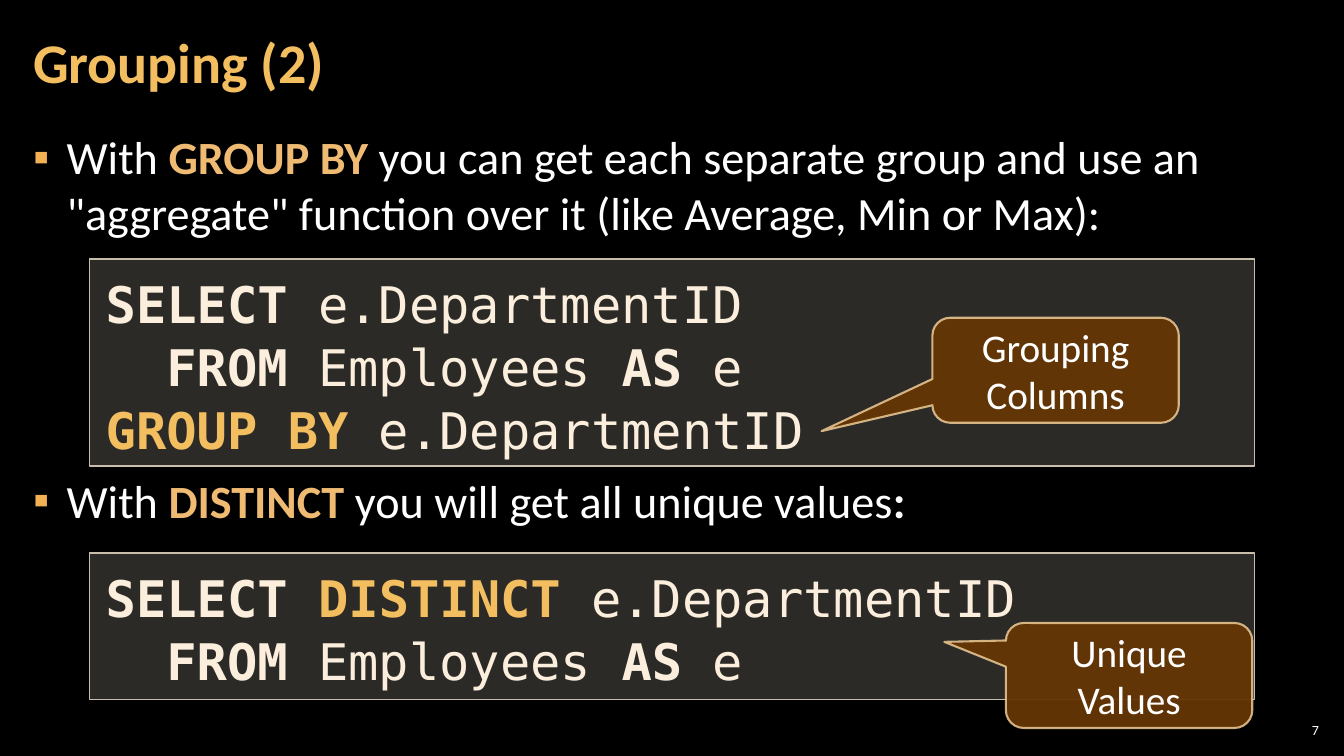
from dataclasses import dataclass

from lxml import etree
from pptx import Presentation
from pptx import util as u
from pptx.dml import color
from pptx.enum import shapes, text
from pptx.oxml import ns


@dataclass(frozen=True)
class Theme:
    background: str = "000000"
    white: str = "FFFFFF"
    gold: str = "F3BE60"
    keyword: str = "EFBB72"
    bullet: str = "F2B254"
    code: str = "FBEEDC"
    code_fill: str = "D9D5C7"
    code_line: str = "C7BFAC"
    callout_fill: str = "663606"
    callout_line: str = "F8D49E"
    sans: str = "Calibri"
    mono: str = "DejaVu Sans Mono"
    title_size: int = 40
    body_size: int = 33
    code_size: int = 36
    callout_size: int = 28
    number_size: int = 10


class SlideBuilder:
    """Draw styled elements on one slide, with lengths in points."""

    def __init__(self, slide, theme):
        self.slide = slide
        self.theme = theme
        fill = slide.background.fill
        fill.solid()
        fill.fore_color.rgb = color.RGBColor.from_string(theme.background)

    def place(self, shape, box):
        shape.left, shape.top, shape.width, shape.height = map(u.Pt, box)

    def frame(self, shape, margins, anchor=text.MSO_ANCHOR.TOP):
        frame = shape.text_frame
        frame.word_wrap = True
        frame.auto_size = text.MSO_AUTO_SIZE.NONE
        frame.vertical_anchor = anchor
        frame.margin_left = frame.margin_right = u.Pt(margins[0])
        frame.margin_top = frame.margin_bottom = u.Pt(margins[1])
        return frame

    def add_lines(self, frame, lines, size, font, align=text.PP_ALIGN.LEFT):
        for index, runs in enumerate(lines):
            paragraph = frame.add_paragraph() if index else frame.paragraphs[0]
            paragraph.alignment = align
            for words, tint, bold in runs:
                run = paragraph.add_run()
                run.text = words
                run.font.name = font
                run.font.size = u.Pt(size)
                run.font.bold = bold
                run.font.color.rgb = color.RGBColor.from_string(tint)
        return frame.paragraphs

    def opacity(self, paint, percent):
        for tint in paint.iter(ns.qn("a:srgbClr")):
            etree.SubElement(tint, ns.qn("a:alpha"), val=str(percent * 1000))

    def panel(self, kind, box, fill, line, width, fill_opacity, line_opacity):
        shape = self.slide.shapes.add_shape(kind, *map(u.Pt, box))
        shape.shadow.inherit = False
        shape.fill.solid()
        shape.fill.fore_color.rgb = color.RGBColor.from_string(fill)
        shape.line.color.rgb = color.RGBColor.from_string(line)
        shape.line.width = u.Pt(width)
        properties = shape.element.spPr
        self.opacity(properties.find(ns.qn("a:solidFill")), fill_opacity)
        self.opacity(properties.find(ns.qn("a:ln")), line_opacity)
        return shape

    def title(self, words, box):
        shape = self.slide.shapes.title
        self.place(shape, box)
        frame = self.frame(shape, (8.6, 2.9), text.MSO_ANCHOR.MIDDLE)
        runs = [(words, self.theme.gold, True)]
        paragraphs = self.add_lines(frame, [runs], self.theme.title_size, self.theme.sans)
        paragraphs[0].line_spacing = 0.9

    def bullets(self, items, box, gap):
        shape = self.slide.placeholders[1]
        self.place(shape, box)
        frame = self.frame(shape, (8.6, 2.9))
        paragraphs = self.add_lines(frame, items, self.theme.body_size, self.theme.sans)
        for index, paragraph in enumerate(paragraphs):
            paragraph.space_before = u.Pt(gap if index else 6)
            paragraph.space_after = u.Pt(6)
            properties = paragraph._p.get_or_add_pPr()
            properties.set("marL", str(u.Pt(24)))
            properties.set("indent", str(u.Pt(-24)))
            tint = etree.SubElement(properties, ns.qn("a:buClr"))
            etree.SubElement(tint, ns.qn("a:srgbClr"), val=self.theme.bullet)
            etree.SubElement(properties, ns.qn("a:buChar"), char="▪")

    def code(self, lines, box):
        theme = self.theme
        shape = self.panel(shapes.MSO_SHAPE.RECTANGLE, box,
                           theme.code_fill, theme.code_line, 1, 20, 100)
        frame = self.frame(shape, (11.5, 8.6))
        for paragraph in self.add_lines(frame, lines, theme.code_size, theme.mono):
            paragraph.line_spacing = 1.04
        frame.auto_size = text.MSO_AUTO_SIZE.SHAPE_TO_FIT_TEXT

    def callout(self, lines, left, top, tip):
        theme = self.theme
        shape = self.panel(shapes.MSO_SHAPE.ROUNDED_RECTANGULAR_CALLOUT,
                           (left, top, 176, 75), theme.callout_fill,
                           theme.callout_line, 1.5, 95, 80)
        for index, value in enumerate((*tip, 0.17)):
            shape.adjustments[index] = value
        frame = self.frame(shape, (7.2, 3.6), text.MSO_ANCHOR.MIDDLE)
        runs = [[(line, theme.white, False)] for line in lines]
        self.add_lines(frame, runs, theme.callout_size, theme.sans, text.PP_ALIGN.CENTER)

    def page_number(self, words, box):
        shape = self.slide.shapes.add_textbox(*map(u.Pt, box))
        frame = self.frame(shape, (2.9, 2.9), text.MSO_ANCHOR.MIDDLE)
        runs = [(words, self.theme.white, False)]
        self.add_lines(frame, [runs], self.theme.number_size, self.theme.sans,
                       text.PP_ALIGN.RIGHT)


def main():
    theme = Theme()
    presentation = Presentation()
    presentation.slide_width, presentation.slide_height = u.Pt(960), u.Pt(540)
    slide = presentation.slides.add_slide(presentation.slide_layouts[1])
    builder = SlideBuilder(slide, theme)

    builder.title("Grouping (2)", (15, 3, 754, 87))
    builder.bullets([
        [("With", theme.white, False),
         (" GROUP BY ", theme.keyword, True),
         ("you can get each separate group and use an \"aggregate\" function "
          "over it (like Average, Min or Max):", theme.white, False)],
        [("With ", theme.white, False),
         ("DISTINCT ", theme.keyword, True),
         ("you will get all unique values", theme.white, False),
         (":", theme.white, True)],
    ], (15, 89, 930, 438), gap=160)

    from_line = [("  FROM", theme.code, True), (" Employees ", theme.code, False),
                 ("AS", theme.code, True), (" e", theme.code, False)]
    builder.code([
        [("SELECT", theme.code, True), (" e.DepartmentID", theme.code, False)],
        from_line,
        [("GROUP BY ", theme.gold, True), ("e.DepartmentID", theme.code, False)],
    ], (64, 185, 832, 148))
    builder.callout(["Grouping", "Columns"], 666, 227, (-0.95, 0.58))

    builder.code([
        [("SELECT ", theme.code, True), ("DISTINCT", theme.gold, True),
         (" e.DepartmentID", theme.code, False)],
        from_line,
    ], (64, 395, 832, 104.5))
    builder.callout(["Unique Values"], 718.5, 445, (-0.75, -0.32))
    builder.page_number("7", (911, 514, 34, 15))

    presentation.save("out.pptx")


if __name__ == "__main__":
    main()
